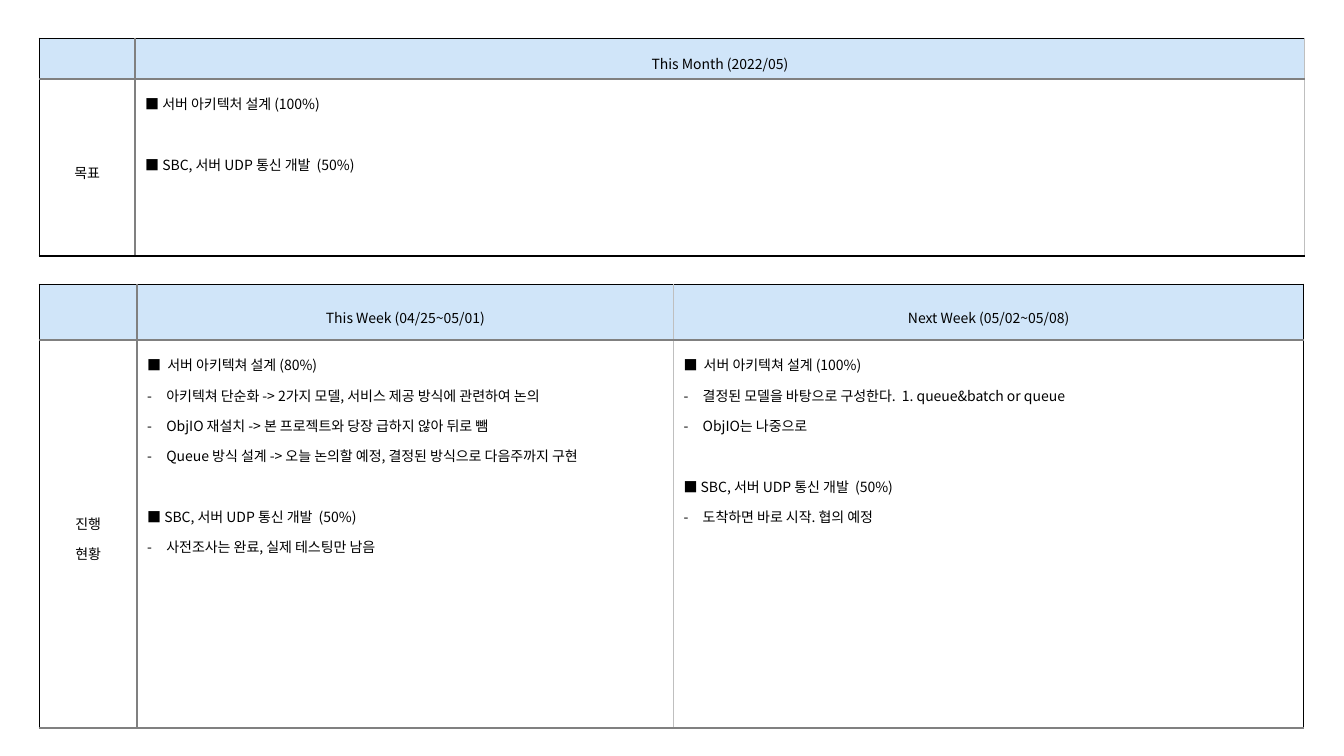
from lxml import etree
from pptx import Presentation
from pptx import util as u
from pptx.dml.color import RGBColor
from pptx.enum import text
from pptx.oxml import ns

FONT = "Noto Sans CJK KR"
BLACK = RGBColor(0x00, 0x00, 0x00)
GRAY = RGBColor(0x80, 0x80, 0x80)
SILVER = RGBColor(0xBF, 0xBF, 0xBF)
WHITE = RGBColor(0xFF, 0xFF, 0xFF)
SKY = RGBColor(0xD0, 0xE5, 0xF9)

THIN_BLACK = (BLACK, 1)
THIN_SILVER = (SILVER, 1)
THICK_GRAY = (GRAY, 1.5)

TEXT_SIZE = 10
TOPIC_GAP = 21.7
BULLET_INDENT = 0.19

MONTH = {
    "box": (0.39, 0.38),
    "columns": (0.95, 11.6),
    "rows": (0.4, 1.76),
    "right": THIN_SILVER,
    "bottom": THIN_BLACK,
    "headers": ["This Month (2022/05)"],
    "label": ["목표"],
    "topics": [
        [("■ 서버 아키텍처 설계 (100%)", []),
         ("■ SBC, 서버 UDP 통신 개발  (50%)", [])],
    ],
}

WEEKS = {
    "box": (0.39, 2.82),
    "columns": (0.97, 5.32, 6.25),
    "rows": (0.55, 3.85),
    "right": THIN_BLACK,
    "bottom": THICK_GRAY,
    "headers": ["This Week (04/25~05/01)", "Next Week (05/02~05/08)"],
    "label": ["진행", "현황"],
    "topics": [
        [("■  서버 아키텍쳐 설계 (80%)",
          ["아키텍쳐 단순화 -> 2가지 모델, 서비스 제공 방식에 관련하여 논의",
           "ObjIO 재설치 -> 본 프로젝트와 당장 급하지 않아 뒤로 뺌",
           "Queue 방식 설계 -> 오늘 논의할 예정, 결정된 방식으로 다음주까지 구현"]),
         ("■ SBC, 서버 UDP 통신 개발  (50%)",
          ["사전조사는 완료, 실제 테스팅만 남음"])],
        [("■  서버 아키텍쳐 설계 (100%)",
          ["결정된 모델을 바탕으로 구성한다.  1. queue&batch or queue",
           "ObjIO는 나중으로"]),
         ("■ SBC, 서버 UDP 통신 개발  (50%)",
          ["도착하면 바로 시작. 협의 예정"])],
    ],
}


def add_child(parent, tag, **values):
    return etree.SubElement(parent, ns.qn(tag), values)


def draw_borders(cell, borders):
    properties = cell._tc.get_or_add_tcPr()
    for side in ("L", "R", "T", "B"):
        color, width = borders[side]
        line = add_child(properties, f"a:ln{side}", w=str(u.Pt(width)))
        fill = add_child(line, "a:solidFill")
        add_child(fill, "a:srgbClr", val=str(color))


def add_bullet(para):
    indent = u.Inches(BULLET_INDENT)
    properties = para._p.get_or_add_pPr()
    properties.set("marL", str(indent))
    properties.set("indent", str(-indent))
    add_child(properties, "a:buFont", typeface=FONT)
    add_child(properties, "a:buChar", char="-")


def write_line(cell, words, bullet=False, **layout):
    frame = cell.text_frame
    para = frame.add_paragraph() if frame.text else frame.paragraphs[0]
    for name, value in {"line_spacing": 1.5, **layout}.items():
        setattr(para, name, value)
    if bullet:
        add_bullet(para)
    span = para.add_run()
    span.text = words
    for name, value in {"name": FONT, "size": u.Pt(TEXT_SIZE)}.items():
        setattr(span.font, name, value)
    span.font.color.rgb = BLACK
    add_child(span._r.get_or_add_rPr(), "a:ea", typeface=FONT)


def write_centred(cell, lines):
    cell.vertical_anchor = text.MSO_ANCHOR.MIDDLE
    for words in lines:
        write_line(cell, words, alignment=text.PP_ALIGN.CENTER)


def write_topics(cell, topics):
    for number, (heading, items) in enumerate(topics):
        gap = u.Pt(TOPIC_GAP if number else 0)
        write_line(cell, heading, space_before=gap)
        for item in items:
            write_line(cell, item, bullet=True)


def style_cells(table, plan):
    last_column = len(plan["columns"]) - 1
    verticals = [THIN_BLACK, THICK_GRAY] + [THIN_SILVER] * (last_column - 1) + [plan["right"]]
    horizontals = [THIN_BLACK, THICK_GRAY, plan["bottom"]]
    for row in range(len(plan["rows"])):
        for column in range(len(plan["columns"])):
            cell = table.cell(row, column)
            draw_borders(cell, {
                "L": verticals[column], "R": verticals[column + 1],
                "T": horizontals[row], "B": horizontals[row + 1],
            })
            cell.fill.solid()
            cell.fill.fore_color.rgb = WHITE if row else SKY


def add_report_table(page, plan):
    columns, rows = plan["columns"], plan["rows"]
    box = [u.Inches(n) for n in (*plan["box"], sum(columns), sum(rows))]
    table = page.shapes.add_table(len(rows), len(columns), *box).table
    for name in ("first_row", "horz_banding"):
        setattr(table, name, False)
    for column, width in zip(table.columns, columns):
        column.width = u.Inches(width)
    for row, height in zip(table.rows, rows):
        row.height = u.Inches(height)
    style_cells(table, plan)
    corner = table.cell(0, 0).text_frame.paragraphs[0]
    add_child(corner._p, "a:endParaRPr", sz=str(TEXT_SIZE * 100))
    write_centred(table.cell(1, 0), plan["label"])
    for column, (header, topics) in enumerate(zip(plan["headers"], plan["topics"]), 1):
        write_centred(table.cell(0, column), [header])
        write_topics(table.cell(1, column), topics)


def main():
    deck = Presentation()
    deck.slide_width, deck.slide_height = u.Inches(13.33), u.Inches(7.5)
    page = deck.slides.add_slide(deck.slide_layouts[6])
    for plan in (WEEKS, MONTH):
        add_report_table(page, plan)
    deck.save("out.pptx")


if __name__ == "__main__":
    main()
